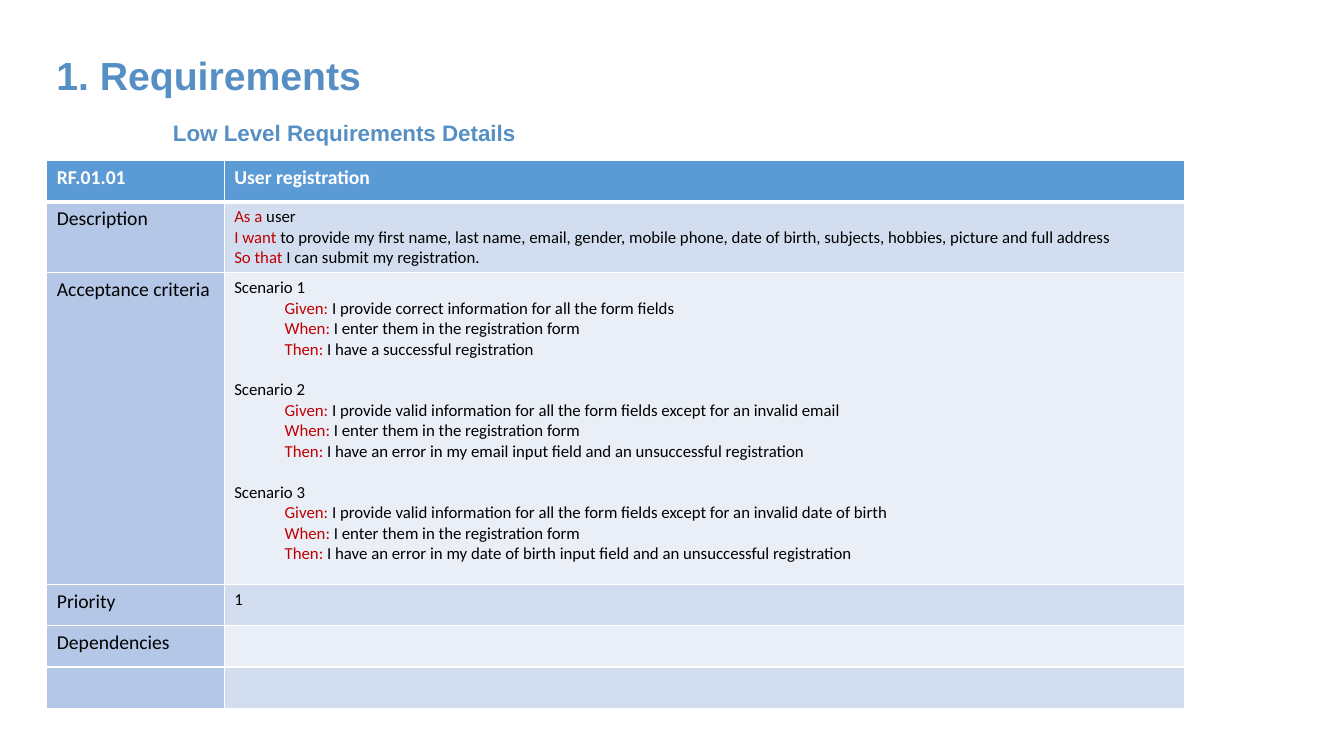
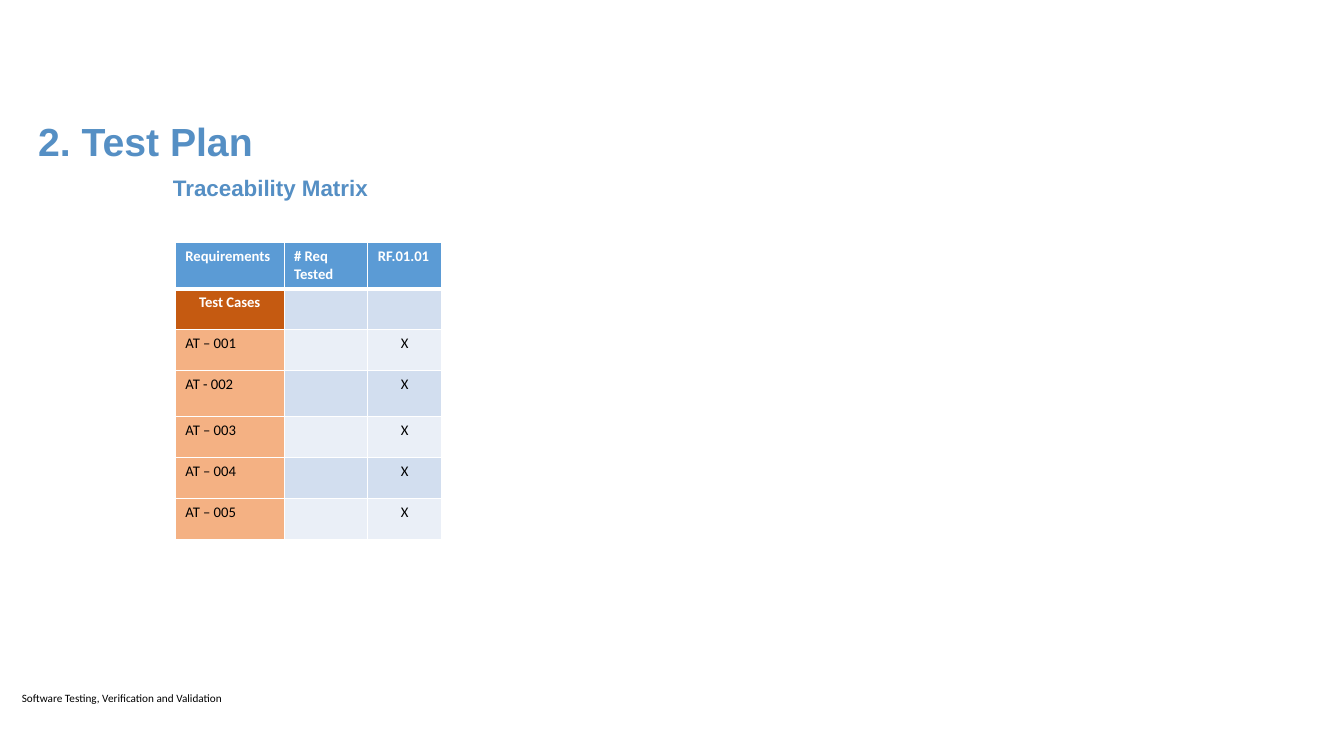
from lxml import etree
from pptx import Presentation
from pptx.dml.color import RGBColor
from pptx.enum.text import PP_ALIGN
from pptx.oxml.ns import qn
from pptx.util import Cm, Pt

CENTER = PP_ALIGN.CENTER

WHITE = RGBColor(0xFF, 0xFF, 0xFF)
BLACK = RGBColor(0x00, 0x00, 0x00)
TITLE_BLUE = RGBColor(0x55, 0x8F, 0xC4)
HEADER_BLUE = RGBColor(0x5B, 0x9B, 0xD5)
LABEL_BLUE = RGBColor(0xB4, 0xC7, 0xE7)
BAND_DARK = RGBColor(0xD2, 0xDE, 0xEF)
BAND_LIGHT = RGBColor(0xEA, 0xEF, 0xF7)
KEYWORD_RED = RGBColor(0xC0, 0x00, 0x00)
DARK_ORANGE = RGBColor(0xC5, 0x5A, 0x11)
LIGHT_ORANGE = RGBColor(0xF4, 0xB1, 0x83)

HEADING_FONT = "Arial"
BODY_FONT = "Calibri"

USER_STORY = [
    ("As a", " user"),
    ("I want ", "to provide my first name, last name, email, gender, mobile phone, "
                "date of birth, subjects, hobbies, picture and full address"),
    ("So that ", "I can submit my registration."),
]
SCENARIOS = [
    ("I provide correct information for all the form fields",
     "I have a successful registration"),
    ("I provide valid information for all the form fields except for an invalid email",
     "I have an error in my email input field and an unsuccessful registration"),
    ("I provide valid information for all the form fields except for an invalid date of birth",
     "I have an error in my date of birth input field and an unsuccessful registration"),
]
TEST_CASES = ["AT – 001", "AT - 002", "AT – 003", "AT – 004", "AT – 005"]


def add_run(paragraph, text, size=12, color=BLACK, bold=False, font=BODY_FONT, align=None):
    run = paragraph.add_run()
    run.text = text
    run.font.size = Pt(size)
    run.font.bold = bold
    run.font.name = font
    run.font.color.rgb = color
    if align is not None:
        paragraph.alignment = align


def add_text_box(slide, left, top, width, height, text, **text_format):
    box = slide.shapes.add_textbox(Cm(left), Cm(top), Cm(width), Cm(height))
    box.text_frame.word_wrap = True
    add_run(box.text_frame.paragraphs[0], text, **text_format)


def add_headings(slide, title, title_left, title_top, subtitle, subtitle_top):
    heading = {"color": TITLE_BLUE, "bold": True, "font": HEADING_FONT}
    add_text_box(slide, title_left, title_top, 18.24, 1.45, title, size=28, **heading)
    add_text_box(slide, 4.11, subtitle_top, 18.24, 0.94, subtitle, size=16, **heading)


def set_borders(cell, bottom_width):
    properties = cell._tc.get_or_add_tcPr()
    for side, width in (("lnL", 1), ("lnR", 1), ("lnT", 1), ("lnB", bottom_width)):
        line = etree.SubElement(properties, qn(f"a:{side}"), w=str(Pt(width)))
        fill = etree.SubElement(line, qn("a:solidFill"))
        etree.SubElement(fill, qn("a:srgbClr"), val=str(WHITE))


def add_banded_table(slide, left, top, column_widths, row_heights, label_color):
    """Add an empty table with a header row, a label column and banded rows."""
    frame = slide.shapes.add_table(
        len(row_heights), len(column_widths), Cm(left), Cm(top),
        Cm(sum(column_widths)), Cm(sum(row_heights)))
    table = frame.table
    for column, width in zip(table.columns, column_widths):
        column.width = Cm(width)
    for row_index, (row, height) in enumerate(zip(table.rows, row_heights)):
        row.height = Cm(height)
        for column_index, cell in enumerate(row.cells):
            if row_index == 0:
                color = HEADER_BLUE
            elif column_index == 0:
                color = label_color
            else:
                color = BAND_DARK if row_index % 2 else BAND_LIGHT
            set_borders(cell, bottom_width=1 if row_index else 3)
            cell.fill.solid()
            cell.fill.fore_color.rgb = color
    return table


def write_cell(table, row, column, text, **text_format):
    add_run(table.cell(row, column).text_frame.paragraphs[0], text, **text_format)


def add_keyword_line(paragraph, keyword, text):
    add_run(paragraph, keyword, color=KEYWORD_RED)
    add_run(paragraph, text)


def write_user_story(text_frame):
    for index, (keyword, text) in enumerate(USER_STORY):
        paragraph = text_frame.add_paragraph() if index else text_frame.paragraphs[0]
        add_keyword_line(paragraph, keyword, text)


def write_scenarios(text_frame):
    for index, (given, then) in enumerate(SCENARIOS):
        heading = text_frame.add_paragraph() if index else text_frame.paragraphs[0]
        if index:
            heading.space_before = Pt(14.6)
        add_run(heading, f"Scenario {index + 1}")
        steps = [("Given:", given), ("When:", "I enter them in the registration form"),
                 ("Then:", then)]
        for keyword, text in steps:
            paragraph = text_frame.add_paragraph()
            paragraph.level = 1
            properties = paragraph._p.get_or_add_pPr()
            properties.set("marL", str(Cm(1.27)))
            properties.set("indent", "0")
            add_keyword_line(paragraph, keyword, f" {text}")


def add_requirement_table(slide, left, top):
    table = add_banded_table(slide, left, top, [4.47, 24.2],
                             [1.04, 1.77, 7.86, 1.04, 1.04, 1.04], LABEL_BLUE)
    for column, text in enumerate(["RF.01.01", "User registration"]):
        write_cell(table, 0, column, text, size=14, color=WHITE, bold=True)
    labels = ["Description", "Acceptance criteria", "Priority", "Dependencies"]
    for row, label in enumerate(labels, start=1):
        write_cell(table, row, 0, label, size=14)
    write_user_story(table.cell(1, 1).text_frame)
    write_scenarios(table.cell(2, 1).text_frame)
    write_cell(table, 3, 1, "1")


def add_traceability_table(slide, left, top):
    table = add_banded_table(slide, left, top, [2.74, 2.11, 1.85],
                             [1.16, 1.03, 1.03, 1.16, 1.03, 1.03, 1.03], LIGHT_ORANGE)
    header = {"size": 10.5, "color": WHITE, "bold": True}
    for column, text in enumerate(["Requirements", "# Req Tested", "RF.01.01"]):
        write_cell(table, 0, column, text, **header)
    table.cell(1, 0).fill.fore_color.rgb = DARK_ORANGE
    write_cell(table, 1, 0, "Test Cases", align=CENTER, **header)
    for row, test_case in enumerate(TEST_CASES, start=2):
        write_cell(table, row, 0, test_case, size=10.5)
        write_cell(table, row, 2, "X", size=10.5, align=CENTER)


def build_requirements_slide(slide):
    add_headings(slide, "1. Requirements", 1.17, 1.17, "Low Level Requirements Details", 2.87)
    add_requirement_table(slide, 1.18, 4.05)


def build_test_plan_slide(slide):
    add_headings(slide, "2. Test Plan", 0.71, 2.82, "Traceability Matrix", 4.27)
    add_traceability_table(slide, 4.42, 6.12)
    add_text_box(slide, 0.3, 17.3, 13.59, 0.61,
                 "Software Testing, Verification and Validation", size=8)


def main():
    presentation = Presentation()
    presentation.slide_width = Cm(33.87)
    presentation.slide_height = Cm(19.05)
    blank_layout = presentation.slide_layouts[6]
    for build in (build_requirements_slide, build_test_plan_slide):
        build(presentation.slides.add_slide(blank_layout))
    presentation.save("out.pptx")


if __name__ == "__main__":
    main()
